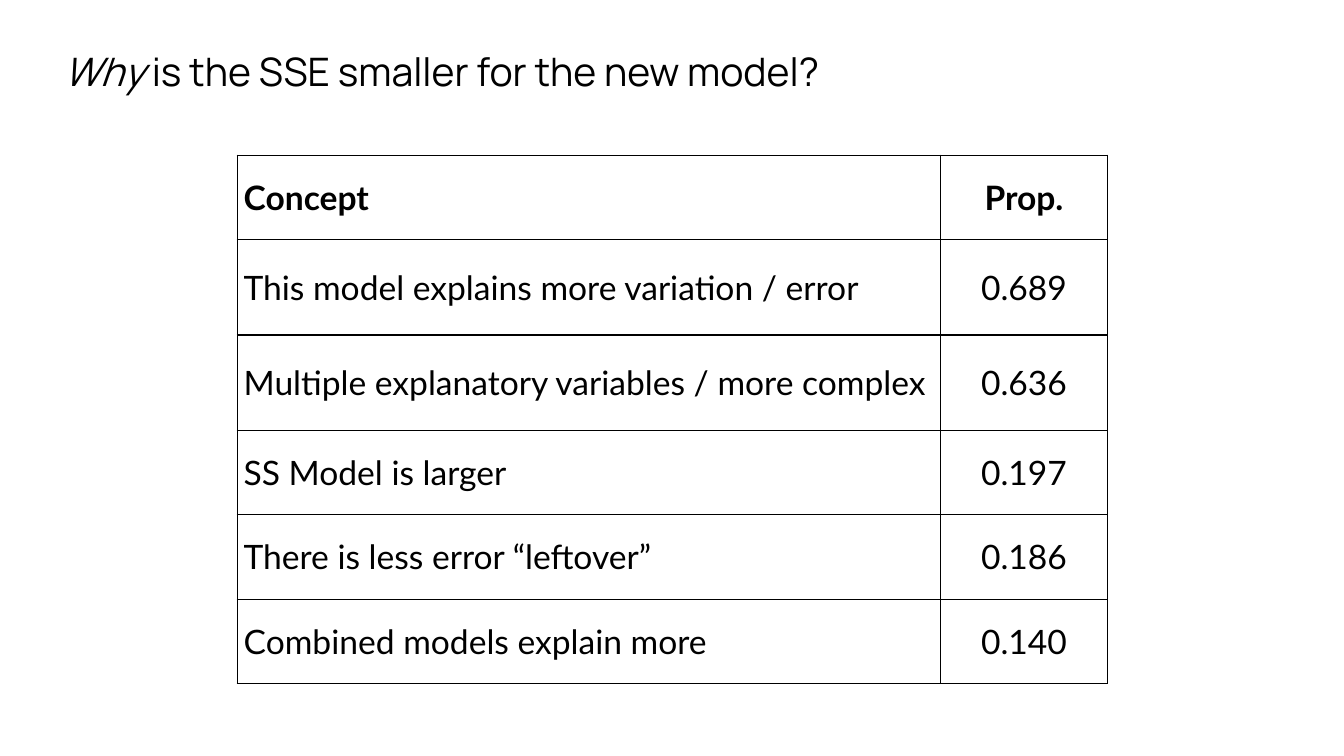
from dataclasses import dataclass

from lxml import etree
from pptx import Presentation
from pptx import util as u
from pptx.dml.color import RGBColor
from pptx.enum import text
from pptx.oxml.ns import qn


@dataclass(frozen=True)
class Theme:
    ink: str = "000000"
    paper: str = "FFFFFF"
    title_font: str = "Manrope"
    table_font: str = "Lato"
    title_size: int = 28
    table_size: int = 24
    border: float = 1


class SlideBuilder:
    def __init__(self, prs, theme):
        self.theme = theme
        self.s = prs.slides.add_slide(prs.slide_layouts[6])
        fill = self.s.background.fill
        fill.solid()
        fill.fore_color.rgb = RGBColor.from_string(theme.paper)

    def run(self, p, words, font, size, bold=False, italic=False):
        r = p.add_run()
        r.text = words
        r.font.name, r.font.size = font, u.Pt(size)
        r.font.bold, r.font.italic = bold, italic
        r.font.color.rgb = RGBColor.from_string(self.theme.ink)

    def title(self, left, top, width, height, runs):
        sp = self.s.shapes.add_textbox(*map(u.Cm, (left, top, width, height)))
        tf = sp.text_frame
        tf.word_wrap = True
        tf.margin_left = tf.margin_right = u.Cm(0.25)
        tf.margin_top = tf.margin_bottom = u.Cm(0.25)
        p = tf.paragraphs[0]
        p.line_spacing = 0.9
        for words, italic in runs:
            self.run(p, words, self.theme.title_font, self.theme.title_size, italic=italic)

    def borders(self, cell):
        tc_pr = cell._tc.get_or_add_tcPr()
        for i, side in enumerate(("lnL", "lnR", "lnT", "lnB")):
            ln = etree.Element(qn(f"a:{side}"), w=str(u.Pt(self.theme.border)))
            fill = etree.SubElement(ln, qn("a:solidFill"))
            etree.SubElement(fill, qn("a:srgbClr"), val=self.theme.ink)
            tc_pr.insert(i, ln)

    def table(self, left, top, widths, heights, rows):
        size = (sum(widths), sum(heights))
        frame = self.s.shapes.add_table(len(rows), len(widths), *map(u.Cm, (left, top, *size)))
        tbl = frame.table
        tbl.first_row = tbl.horz_banding = False
        for column, width in zip(tbl.columns, widths):
            column.width = u.Cm(width)
        for i, (height, row) in enumerate(zip(heights, rows)):
            tbl.rows[i].height = u.Cm(height)
            for j, words in enumerate(row):
                cell = tbl.cell(i, j)
                cell.fill.background()
                cell.vertical_anchor = text.MSO_ANCHOR.MIDDLE
                cell.margin_left = cell.margin_right = u.Cm(0.16)
                cell.margin_top = cell.margin_bottom = u.Cm(0.16)
                p = cell.text_frame.paragraphs[0]
                p.alignment = text.PP_ALIGN.CENTER if j else text.PP_ALIGN.LEFT
                self.run(p, words, self.theme.table_font, self.theme.table_size, bold=i == 0)
                self.borders(cell)


def main():
    prs = Presentation()
    prs.slide_width, prs.slide_height = u.Cm(33.87), u.Cm(19.05)
    slide = SlideBuilder(prs, Theme())

    # Title
    slide.title(1.35, 1.07, 31.17, 2.36, [
        ("Why", True),
        (" is the SSE smaller for the new model?", False),
    ])

    # Concepts and their proportions
    low, tall = 2.13, 2.4
    slide.table(5.98, 3.91, [17.73, 4.19], [low, tall, tall, low, low, low], [
        ("Concept", "Prop."),
        ("This model explains more variation / error", "0.689"),
        ("Multiple explanatory variables / more complex", "0.636"),
        ("SS Model is larger", "0.197"),
        ("There is less error “leftover”", "0.186"),
        ("Combined models explain more", "0.140"),
    ])

    prs.save("out.pptx")


if __name__ == "__main__":
    main()
